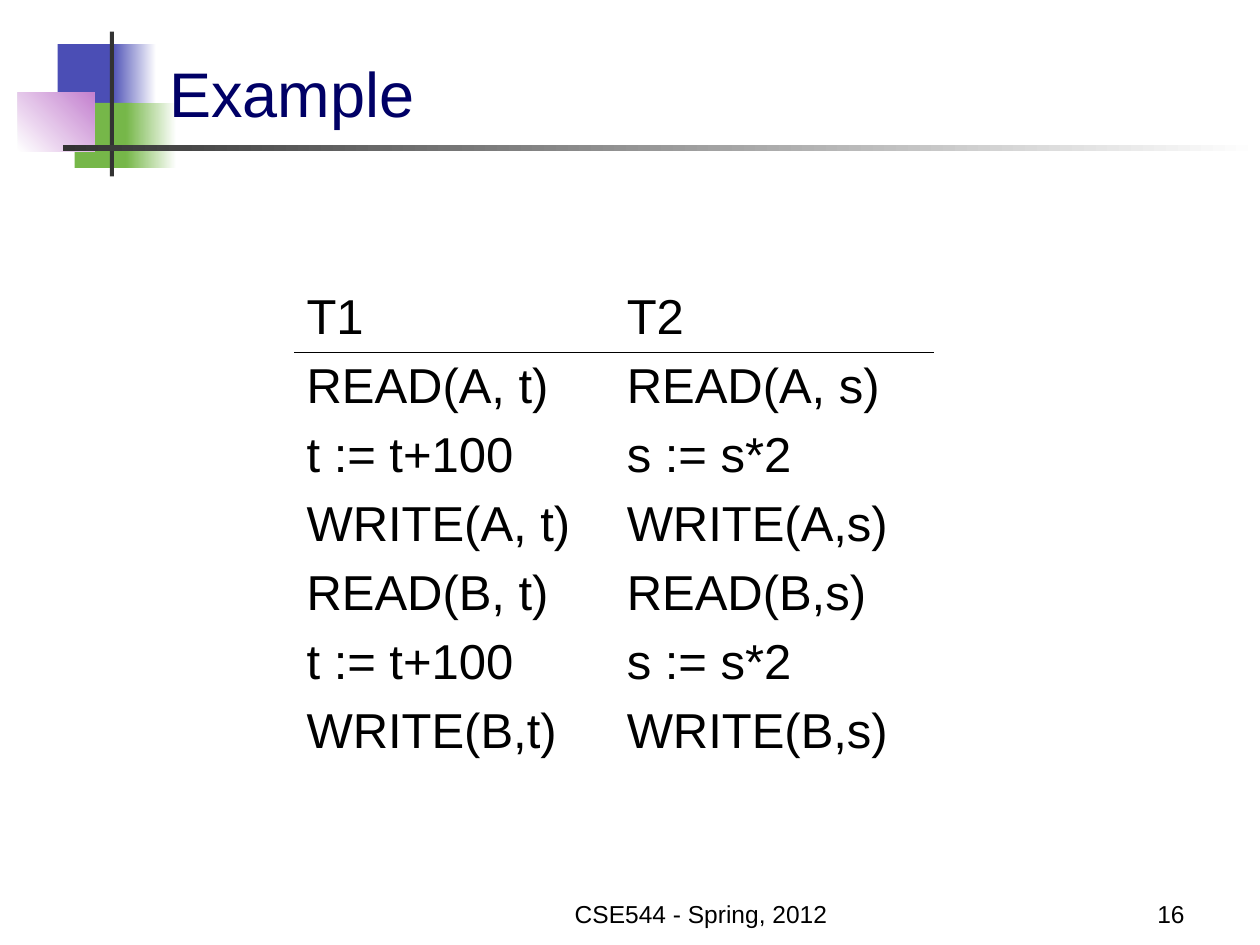
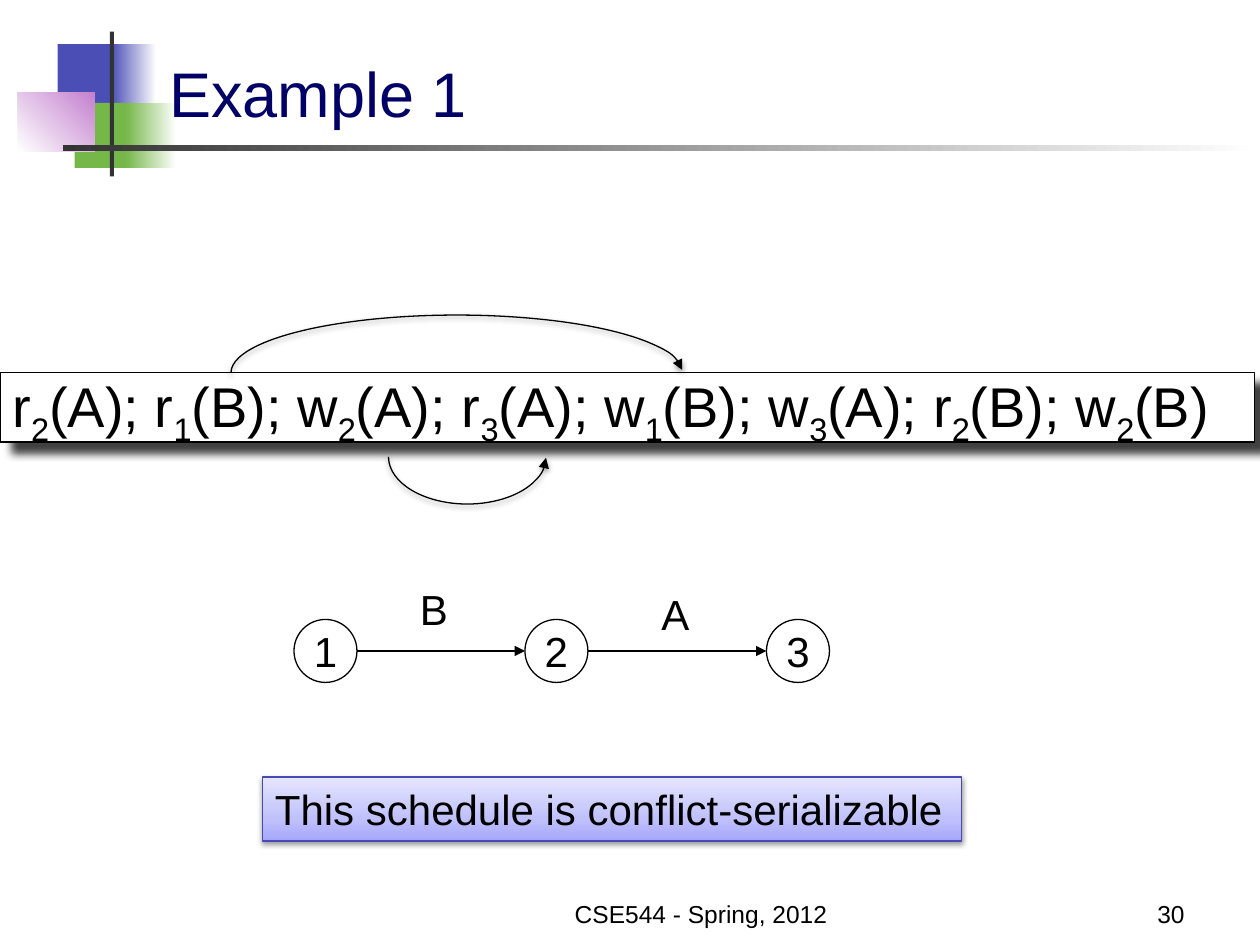
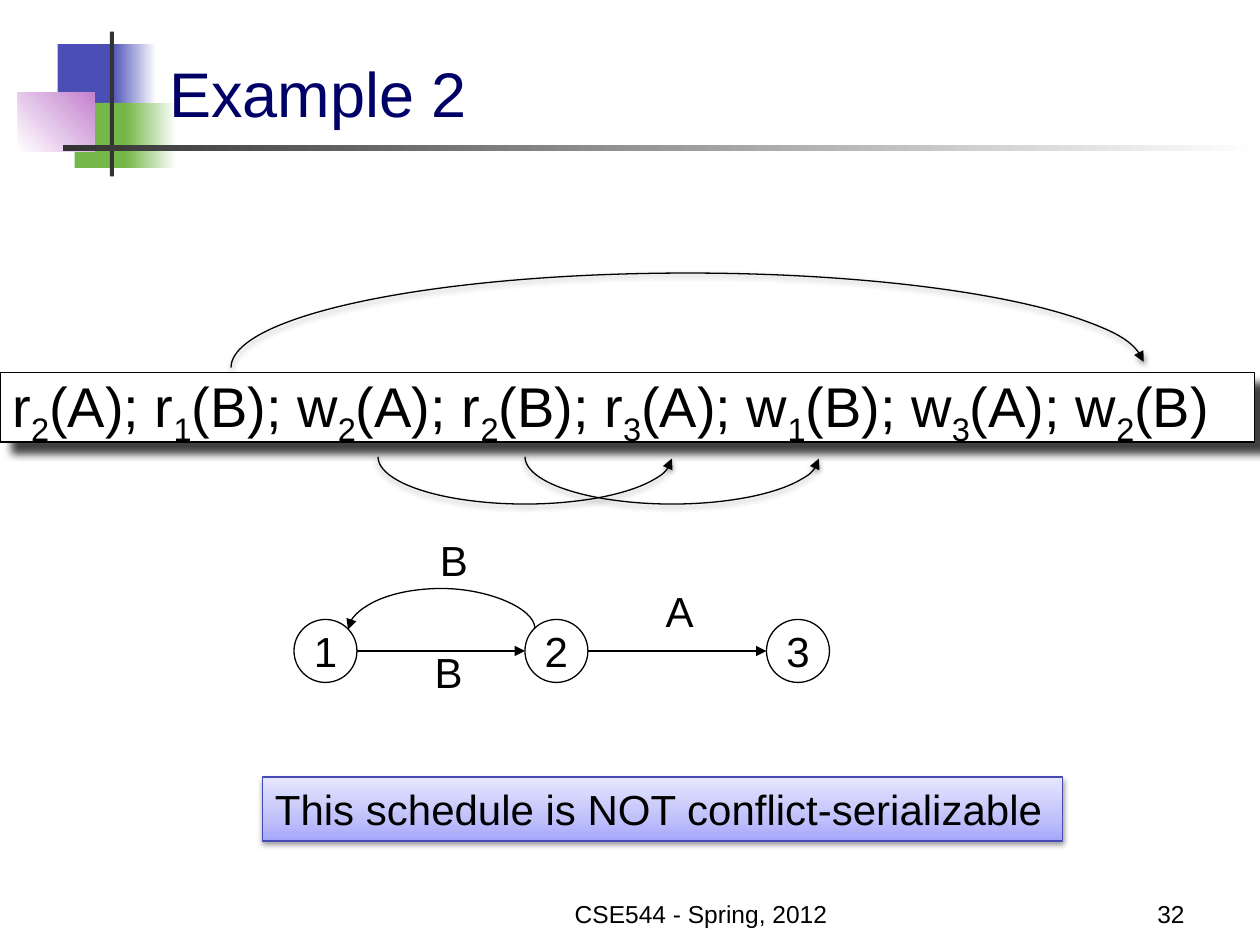
from dataclasses import dataclass
from itertools import groupby

from lxml import etree
from pptx import Presentation
from pptx import util as u
from pptx.dml.color import RGBColor
from pptx.enum import shapes, text
from pptx.oxml.ns import qn


@dataclass(frozen=True)
class Theme:
    font: str = "Arial"
    ink: str = "000000"
    paper: str = "FFFFFF"
    title: str = "000066"
    blue: str = "4B4EB5"
    green: str = "76B749"
    violet: str = "C481CF"
    rule: str = "333333"
    caption_line: str = "474AB4"
    caption_fill: tuple = ((0, "A5A6FB"), (35, "C0C1FB"), (100, "E6E6FE"))
    title_size: int = 36
    schedule_size: int = 32
    table_size: int = 28
    graph_size: int = 24
    footer_size: int = 14
    thin: float = 0.75
    soft_shadow: tuple = (38, 3.1, 1.6, 90)
    hard_shadow: tuple = (75, 5, 8.5, 45)


theme = Theme()
rect, ellipse, arc = (shapes.MSO_SHAPE.RECTANGLE, shapes.MSO_SHAPE.OVAL, shapes.MSO_SHAPE.ARC)
left, center, right = text.PP_ALIGN.LEFT, text.PP_ALIGN.CENTER, text.PP_ALIGN.RIGHT
top, middle, bottom = text.MSO_ANCHOR.TOP, text.MSO_ANCHOR.MIDDLE, text.MSO_ANCHOR.BOTTOM

presentation = Presentation()
presentation.slide_width, presentation.slide_height = u.Inches(10), u.Inches(7.5)
cell = presentation.slide_width // 120


def draw(slide, kind, at, fill=None, angle=0, line=None, shadow=None):
    frame = [round(cell * n) for n in at]
    if kind is None:
        return slide.shapes.add_textbox(*frame)
    shape = slide.shapes.add_shape(kind, *frame)
    properties = shape.element.spPr
    if fill is None:
        shape.fill.background()
    elif isinstance(fill, str):
        shape.fill.solid()
        shape.fill.fore_color.rgb = RGBColor.from_string(fill)
    else:
        shape.fill.gradient()
        shape.fill.gradient_angle = -angle % 360
        stops = properties.find(".//" + qn("a:gsLst"))
        stops[:] = []
        for position, color in fill:
            stop = etree.SubElement(stops, qn("a:gs"), pos=str(position * 1000))
            etree.SubElement(stop, qn("a:srgbClr"), val=color)
    if line:
        shape.line.color.rgb = RGBColor.from_string(line)
        shape.line.width = u.Pt(theme.thin)
    else:
        shape.line.fill.background()
    shape.shadow.inherit = False
    if shadow:
        opacity, blur, distance, direction = shadow
        outer = etree.SubElement(
            properties.find(qn("a:effectLst")), qn("a:outerShdw"),
            blurRad=str(u.Pt(blur)), dist=str(u.Pt(distance)),
            dir=str(direction * 60000), algn="ctr", rotWithShape="0")
        color = etree.SubElement(outer, qn("a:srgbClr"), val=theme.ink)
        etree.SubElement(color, qn("a:alpha"), val=str(opacity * 1000))
    return shape


def write(frame, words, size, color=theme.ink, align=left, spacing=None, subscripts=False, **layout):
    for name, value in layout.items():
        setattr(frame, name, value)
    paragraph = frame.paragraphs[0]
    for name, value in {"alignment": align, "line_spacing": spacing}.items():
        setattr(paragraph, name, value)
    pieces = groupby(words, str.isdigit) if subscripts else [(False, words)]
    for lowered, piece in pieces:
        run = paragraph.add_run()
        run.text = "".join(piece)
        for name, value in {"name": theme.font, "size": u.Pt(size), "bold": False}.items():
            setattr(run.font, name, value)
        run.font.color.rgb = RGBColor.from_string(color)
        if lowered:
            run.font._element.set("baseline", "-25000")


layout = presentation.slide_layouts[5]
title = layout.placeholders[0]
for name, cells in {"left": 14.9, "top": 4.2, "width": 102.2, "height": 8.8}.items():
    setattr(title, name, round(cell * cells))

slides = []
for heading, number in (("Example", "16"), ("Example 1", "30"), ("Example 2", "32")):
    slide = presentation.slides.add_slide(layout)
    write(slide.shapes.title.text_frame, heading, theme.title_size, theme.title,
          vertical_anchor=bottom, word_wrap=True, auto_size=text.MSO_AUTO_SIZE.NONE)
    for words, at, align, inset in (
        ("CSE544 - Spring, 2012", (49.7, 83, 38, 6), center, 0.42),
        (number, (89, 83, 25, 6), right, 0.1),
    ):
        footer = draw(slide, None, at)
        write(footer.text_frame, words, theme.footer_size, align=align,
              vertical_anchor=bottom, word_wrap=True, margin_right=u.Inches(inset))
    slides.append(slide)

bands = (
    ((5.5, 4.2, 5.8, 6.2), theme.blue, 0),
    ((10.6, 4.2, 4.3, 6.2), ((0, theme.blue), (100, theme.paper)), 0),
    ((7.1, 9.8, 5.5, 6.2), theme.green, 0),
    ((12, 9.8, 4.8, 6.2), ((0, theme.green), (100, theme.paper)), 0),
    ((1.7, 8.8, 7.3, 5.6), ((0, theme.paper), (100, theme.violet)), 315),
    ((10.48, 3, 0.38, 13.8), theme.rule, 0),
    ((6, 13.8, 114, 0.6), ((0, theme.rule), (100, theme.paper)), 0),
)
for index, (at, fill, angle) in enumerate(bands):
    band = draw(slides[0], rect, at, fill, angle)
    band.element.nvSpPr.cNvPr.set("id", str(20 + index))
    layout.shapes.element.append(band.element)

transactions = (
    ("T1", "T2"),
    ("READ(A, t)", "READ(A, s)"),
    ("t := t+100", "s := s*2"),
    ("WRITE(A, t)", "WRITE(A,s)"),
    ("READ(B, t)", "READ(B,s)"),
    ("t := t+100", "s := s*2"),
    ("WRITE(B,t)", "WRITE(B,s)"),
)
table_frame = slides[0].shapes.add_table(
    len(transactions), 2, *[round(cell * n) for n in (28, 27, 61, 44.8)])
table_frame.element.find(".//" + qn("a:tableStyleId")).text = "{2D5ABB26-0587-4C30-8999-92F81FD0307C}"
table = table_frame.table
table.first_row = table.horz_banding = False
for row, steps in enumerate(transactions):
    for column, step in enumerate(steps):
        table_cell = table.cell(row, column)
        table_cell.fill.background()
        for name, value in {"vertical_anchor": middle, "margin_top": u.Inches(0.04),
                            "margin_bottom": u.Inches(0.04)}.items():
            setattr(table_cell, name, value)
        write(table_cell.text_frame, step, theme.table_size)
        if row == 0:
            border = etree.Element(qn("a:lnB"), w=str(u.Pt(1)))
            solid = etree.SubElement(border, qn("a:solidFill"))
            etree.SubElement(solid, qn("a:srgbClr"), val=theme.ink)
            table_cell._tc.get_or_add_tcPr().insert(0, border)

examples = (
    {
        "schedule": "r2(A); r1(B); w2(A); r3(A); w1(B); w3(A); r2(B); w2(B)",
        "conflicts": ((22, 65, 35.5, 11, True), (37, 52, 43.5, 9, False)),
        "labels": (("A", 61.8, 55.5), ("B", 38.8, 55)),
        "verdict": ("This schedule is conflict-serializable", 66.6),
        "cycle": False,
    },
    {
        "schedule": "r2(A); r1(B); w2(A); r2(B); r3(A); w1(B); w3(A); w2(B)",
        "conflicts": ((22, 109, 35, 18, True), (36, 64, 43.5, 9, False), (50, 78, 43.5, 9, False)),
        "labels": (("A", 62.2, 55.2), ("B", 40.2, 61), ("B", 40.7, 50.3)),
        "verdict": ("This schedule is NOT conflict-serializable", 76.2),
        "cycle": True,
    },
)
nodes, node_size, node_row = (28, 50, 73), 6, 59
axis = node_row + node_size / 2

for slide, example in zip(slides[1:], examples):
    schedule = draw(slide, rect, (0, 35.5, 119.5, 6.6), theme.paper,
                    line=theme.ink, shadow=theme.hard_shadow)
    write(schedule.text_frame, example["schedule"], theme.schedule_size, spacing=0.8,
          subscripts=True, vertical_anchor=top, word_wrap=True)

    for number, column in enumerate(nodes, 1):
        node = draw(slide, ellipse, (column, node_row, node_size, node_size), line=theme.ink)
        write(node.text_frame, str(number), theme.graph_size, align=center,
              vertical_anchor=middle, word_wrap=False, margin_left=0, margin_right=0)

    words, width = example["verdict"]
    verdict = draw(slide, rect, (25, 74, width, 6.1), theme.caption_fill, 270,
                   theme.caption_line, theme.soft_shadow)
    write(verdict.text_frame, words, theme.graph_size, vertical_anchor=top, word_wrap=True)

    edges = [(shapes.MSO_CONNECTOR.STRAIGHT, (start + node_size, axis, end, axis))
             for start, end in zip(nodes, nodes[1:])]
    if example["cycle"]:
        edges.append((shapes.MSO_CONNECTOR.CURVE, (42, 51, 42.1, 68.8)))
    arrows = []
    for kind, ends in edges:
        edge = slide.shapes.add_connector(kind, *[round(cell * n) for n in ends])
        edge.line.color.rgb = RGBColor.from_string(theme.ink)
        edge.line.width = u.Pt(theme.thin)
        etree.SubElement(edge.element.spPr, qn("a:effectLst"))
        arrows.append(edge)
    if example["cycle"]:
        properties = arrows[-1].element.spPr
        for name, value in {"rot": "16200000", "flipH": "1", "flipV": "1"}.items():
            properties.find(qn("a:xfrm")).set(name, value)
        guides = properties.find(".//" + qn("a:avLst"))
        etree.SubElement(guides, qn("a:gd"), name="adj1", fmla="val -3840000")

    for words, column, row in example["labels"]:
        label = draw(slide, None, (column, row, 5.2, 6))
        write(label.text_frame, words, theme.graph_size, word_wrap=False)

    for start, end, baseline, depth, above in example["conflicts"]:
        span = end - start
        at = ((start + end - depth) / 2, baseline - span / 2, depth, span)
        conflict = draw(slide, arc, at, line=theme.ink, shadow=theme.soft_shadow)
        conflict.adjustments[0], conflict.adjustments[1] = 162, 53.57
        conflict.rotation = 270 if above else 90
        if not above:
            conflict.element.spPr.find(qn("a:xfrm")).set("flipV", "1")
        arrows.append(conflict)

    for arrow in arrows:
        etree.SubElement(arrow.element.spPr.find(qn("a:ln")), qn("a:tailEnd"), type="triangle")

presentation.save("out.pptx")
